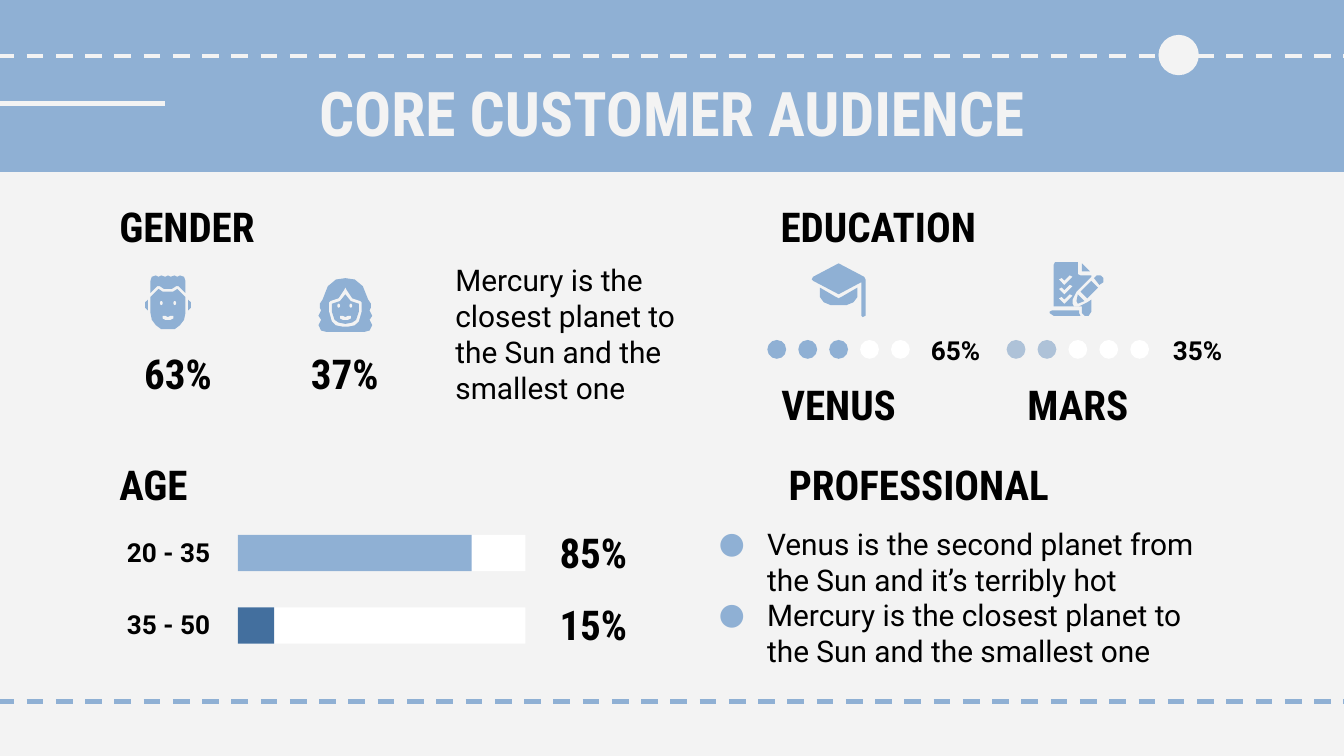
"""Build the core customer audience slide."""
import pptx
import pptx.util
import pptx.dml.color
import pptx.enum.dml
import pptx.enum.shapes
import pptx.enum.text
import pptx.oxml

Inches = pptx.util.Inches
Kind = pptx.enum.shapes.MSO_SHAPE
Align = pptx.enum.text.PP_ALIGN
Anchor = pptx.enum.text.MSO_ANCHOR

THEME = {
    "blue": "8FB0D4", "dark": "436F9E", "pale": "AEC2D8",
    "back": "F3F3F3", "white": "FFFFFF", "black": "000000",
    "title": ("Roboto Condensed", 33, True),
    "head": ("Roboto Condensed", 22, True),
    "label": ("Roboto", 14, True),
    "body": ("Roboto", 16, False),
}

TITLE = "CORE CUSTOMER AUDIENCE"
HEADS = [("GENDER", 0.79, 1.5, 2.14), ("EDUCATION", 5.71, 1.5, 2.14),
         ("AGE", 0.79, 3.42, 2.14), ("PROFESSIONAL", 5.77, 3.42, 3.44)]
GENDER = [("63%", 0.81), ("37%", 2.05)]
NOTE = "Mercury is the closest planet to the Sun and the smallest one"
AGES = [("20 - 35", "85%", 1.74, "blue"), ("35 - 50", "15%", 0.27, "dark")]
LEVELS = [("VENUS", "65%", 3, "blue", 5.71, 6.77, 5.45),
          ("MARS", "35%", 2, "pale", 7.49, 8.57, 7.23)]
POINTS = ["Venus is the second planet from the Sun and it’s terribly hot", NOTE]
RULES = [(-0.02, 10.02, 0.42, "back", True),
         (-0.03, 1.23, 0.77, "back", False),
         (-0.02, 10.02, 5.22, "blue", True)]


def mirror(axis, half):
    """Close a half outline, given as offsets from a vertical axis."""
    return ([(axis + x, y) for x, y in half]
            + [(axis - x, y) for x, y in reversed(half) if x])


def tick(top):
    """Return the outline of one check mark."""
    return [(x, top + y) for x, y in
            [(788, 3), (790, 2), (792, 4), (796, 0), (798, 1), (792, 7)]]


def smile(axis):
    """Return the outline of a mouth."""
    return mirror(axis, [(0, 236), (2, 235), (4, 235), (4, 237), (2, 238),
                         (0, 238)])


MAN = [
    ("blue", [(110, 223), (108, 225), (108, 229), (110, 231)]),
    ("blue", [(140, 223), (142, 225), (142, 229), (140, 231)]),
    ("blue", mirror(125, [(0, 205), (2, 206), (5, 205), (7, 206), (9, 205),
                          (12, 206), (13, 209), (13, 218), (8, 213), (6, 213),
                          (3, 215), (0, 215)])),
    ("blue", mirror(125, [(0, 217), (4, 217), (7, 215), (13, 221), (13, 233),
                          (12, 238), (9, 242), (5, 245), (0, 245)])),
    ("back", smile(125)),
]
WOMAN = [
    ("blue", mirror(257, [(0, 207), (7, 208), (13, 213), (17, 223), (19, 226),
                          (19, 229), (18, 231), (20, 235), (18, 238),
                          (20, 242), (18, 246), (14, 247), (0, 247)])),
    ("back", mirror(257, [(0, 214), (1, 216), (5, 222), (11, 224), (12, 225),
                          (12, 232), (10, 239), (7, 242), (2, 243), (0, 243)])),
    ("blue", mirror(257, [(0, 219), (4, 224), (10, 226), (10, 232), (8, 238),
                          (5, 240), (0, 241)])),
    ("back", smile(257)),
]
CAP = [
    ("blue", mirror(624, [(0, 222), (2, 221), (14, 214), (14, 221), (11, 225),
                          (6, 227), (0, 227)])),
    ("blue", [(624, 196), (643, 206), (644, 208), (644, 235), (642, 236),
              (641, 235), (641, 210), (624, 219), (605, 209), (604, 208),
              (605, 206)]),
]
PAPER = [
    ("blue", [(785, 195), (802, 195), (802, 204), (804, 205), (812, 205),
              (812, 206), (801, 217), (798, 223), (798, 226), (799, 228),
              (803, 228), (809, 225), (812, 223), (812, 232), (810, 235),
              (807, 235), (805, 233), (805, 228), (784, 228), (784, 197)]),
    *[("back", tick(top)) for top in (205, 212, 219)],
    ("blue", [(816, 205), (819, 205), (821, 207), (821, 210), (818, 212),
              (814, 207)]),
    ("blue", [(802, 219), (807, 224), (802, 226), (801, 224)]),
    ("blue", [(812, 209), (817, 214), (809, 222), (804, 217)]),
    ("blue", [(805, 196), (811, 202), (805, 202)]),
    ("blue", [(783, 231), (803, 231), (803, 233), (804, 235), (784, 235),
              (781, 233), (781, 232)]),
]
ICONS = [(MAN, [(1.19, 2.24), (1.29, 2.24)]),
         (WOMAN, [(2.51, 2.26), (2.6, 2.26)]), (CAP, []), (PAPER, [])]


def tint(name):
    """Look up a theme colour."""
    return pptx.dml.color.RGBColor.from_string(THEME[name])


def paint(shape, color):
    """Give a shape a plain fill with no line or shadow."""
    shape.shadow.inherit = False
    shape.fill.solid()
    shape.fill.fore_color.rgb = tint(color)
    shape.line.fill.background()


def block(shapes, box, color, kind=Kind.RECTANGLE):
    """Add a filled preset shape."""
    paint(shapes.add_shape(kind, *map(Inches, box)), color)


def rule(shapes, start, end, top, color, dashed):
    """Add a level line, dashed if asked."""
    line = shapes.add_connector(pptx.enum.shapes.MSO_CONNECTOR.STRAIGHT,
                                *map(Inches, (start, top, end, top)))
    line.line.color.rgb = tint(color)
    line.line.width = pptx.util.Pt(2.25)
    if dashed:
        line.line.dash_style = pptx.enum.dml.MSO_LINE.DASH
    line._element.spPr.append(pptx.oxml.parse_xml(
        '<a:effectLst xmlns:a="http://schemas.openxmlformats.org/drawingml/2006/main"/>'))


def bullet(para):
    """Give a paragraph a blue dot and a hanging indent."""
    space = 'xmlns:a="http://schemas.openxmlformats.org/drawingml/2006/main"'
    props = para._p.get_or_add_pPr()
    props.set("marL", str(Inches(0.5)))
    props.set("indent", str(Inches(-0.36)))
    for part in (f'<a:buClr {space}><a:srgbClr val="{THEME["blue"]}"/></a:buClr>',
                 f'<a:buFont {space} typeface="{THEME["body"][0]}"/>',
                 f'<a:buChar {space} char="●"/>'):
        props.append(pptx.oxml.parse_xml(part))


def write(shapes, box, lines, style, align=Align.CENTER, anchor=Anchor.MIDDLE,
          color="black", top=0.1, right=0.1, dots=False):
    """Add a text box with one run per paragraph."""
    frame = shapes.add_textbox(*map(Inches, box)).text_frame
    frame.word_wrap = True
    frame.vertical_anchor = anchor
    frame.margin_left = frame.margin_bottom = Inches(0.1)
    frame.margin_top, frame.margin_right = Inches(top), Inches(right)
    for place, text in enumerate(lines):
        para = frame.add_paragraph() if place else frame.paragraphs[0]
        para.alignment = align
        if dots:
            bullet(para)
        run = para.add_run()
        run.text = text
        run.font.name, size, run.font.bold = THEME[style]
        run.font.size = pptx.util.Pt(size)
        run.font.color.rgb = tint(color)


def icon(shapes, parts, eyes):
    """Draw one grouped icon from outlines and eyes."""
    group = shapes.add_group_shape().shapes
    for color, dots in parts:
        pen = group.build_freeform(*dots[0], scale=Inches(0.01))
        pen.add_line_segments(dots[1:], close=True)
        paint(pen.convert_to_shape(), color)
    for left, top in eyes:
        block(group, (left, top, 0.02, 0.03), "back", Kind.OVAL)


def main():
    """Lay out the slide and save it."""
    deck = pptx.Presentation()
    deck.slide_width, deck.slide_height = Inches(10), Inches(10) * 9 // 16
    slide = deck.slides.add_slide(deck.slide_layouts[6])
    slide.background.fill.solid()
    slide.background.fill.fore_color.rgb = tint("back")
    shapes = slide.shapes

    block(shapes, (-0.02, 0, 10.04, 1.28), "blue")
    for line in RULES:
        rule(shapes, *line)
    block(shapes, (8.62, 0.26, 0.3, 0.3), "back", Kind.OVAL)
    write(shapes, (0.78, 0.46, 8.44, 0.63), [TITLE], "title",
          anchor=Anchor.TOP, color="back")

    for text, left, top, width in HEADS:
        write(shapes, (left, top, width, 0.37), [text], "head", Align.LEFT)
    for parts, eyes in ICONS:
        icon(shapes, parts, eyes)
    for share, left in GENDER:
        write(shapes, (left, 2.58, 1.03, 0.39), [share], "head")
    write(shapes, (3.29, 1.95, 2.05, 1.12), [NOTE], "body", Align.LEFT,
          Anchor.TOP, top=0)

    for row, (ages, share, width, color) in enumerate(AGES):
        top = 3.98 + row * 0.54
        group = shapes.add_group_shape().shapes
        block(group, (1.77, top, 2.14, 0.27), "white")
        block(group, (1.77, top, width, 0.27), color)
        write(shapes, (0.79, top - 0.07, 0.93, 0.39), [ages], "label")
        write(shapes, (3.9, top - 0.07, 1.03, 0.39), [share], "head")

    for name, share, count, color, left, mark, foot in LEVELS:
        group = shapes.add_group_shape().shapes
        for place in range(5):
            block(group, (left + place * 0.23, 2.53, 0.14, 0.14),
                  color if place < count else "white", Kind.OVAL)
        write(shapes, (mark, 2.41, 0.68, 0.39), [share], "label")
        write(shapes, (foot, 2.81, 1.58, 0.39), [name], "head")

    write(shapes, (5.11, 3.81, 4.01, 1.26), POINTS, "body", Align.LEFT,
          Anchor.TOP, right=0, dots=True)
    deck.save("out.pptx")


if __name__ == "__main__":
    main()
